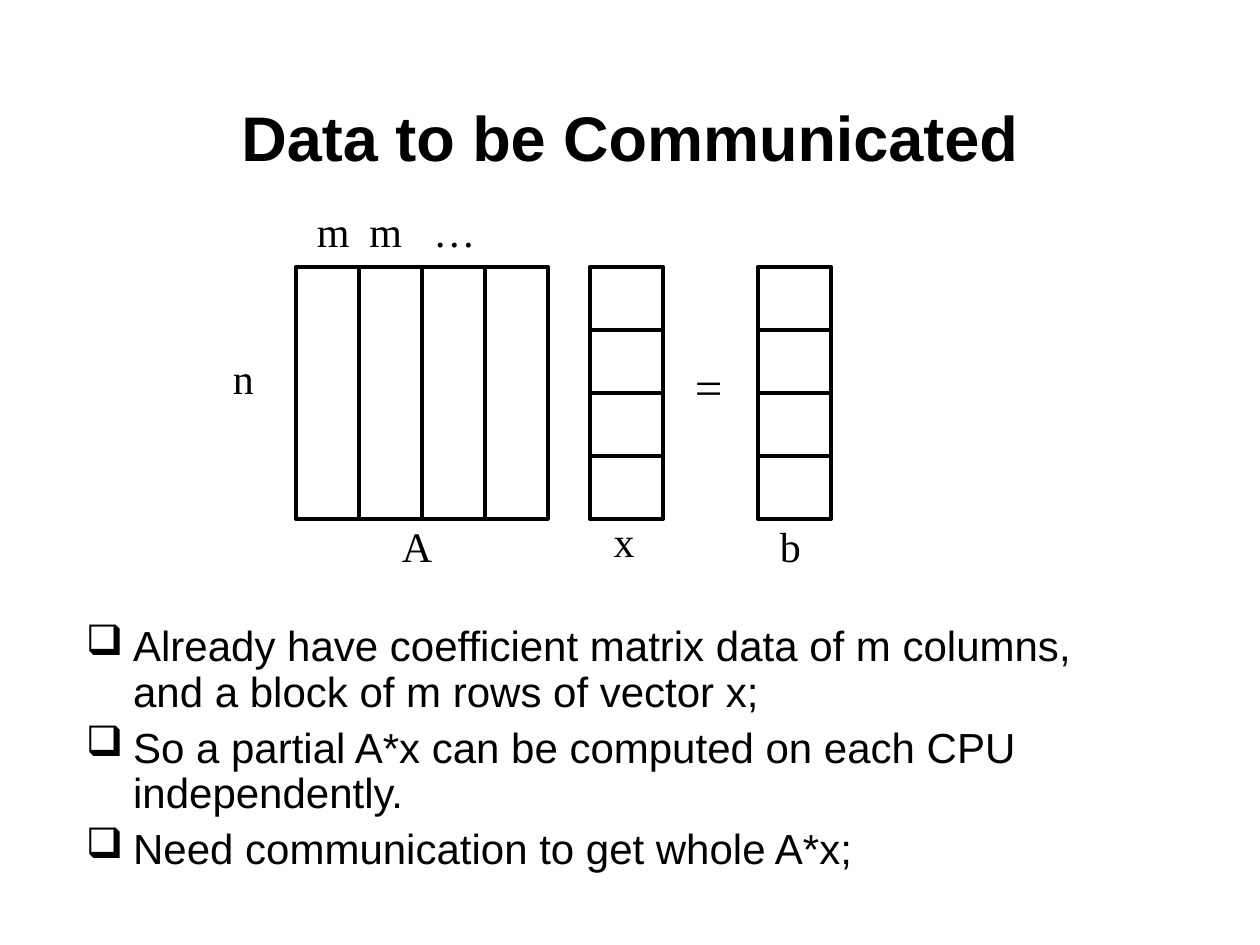
from dataclasses import dataclass

from lxml.etree import SubElement
from pptx import Presentation
from pptx.dml.color import RGBColor
from pptx.enum.shapes import MSO_SHAPE as Shape
from pptx.enum.text import MSO_ANCHOR as Anchor, MSO_AUTO_SIZE as AutoSize, PP_ALIGN as Align
from pptx.oxml.ns import qn
from pptx.util import Pt


@dataclass(frozen=True)
class Theme:
    ink: RGBColor = RGBColor(0, 0, 0)
    text_font: str = "Arial"
    math_font: str = "Times New Roman"
    title_size: float = 36
    body_size: float = 24
    label_size: float = 24
    operator_size: float = 28
    outline: float = 2.25


class SlideBuilder:
    def __init__(self, slide, theme):
        self.slide = slide
        self.theme = theme

    def text_frame(self, left, top, width, height, wrap=True):
        box = self.slide.shapes.add_textbox(Pt(left), Pt(top), Pt(width), Pt(height))
        box.text_frame.word_wrap = wrap
        return box.text_frame

    def style(self, paragraph, size, name, bold=False):
        font = paragraph.font
        font.size, font.name, font.bold = Pt(size), name, bold
        font.color.rgb = self.theme.ink

    def title(self, text, left, top, width, height):
        frame = self.text_frame(left, top, width, height)
        frame.vertical_anchor = Anchor.MIDDLE
        paragraph = frame.paragraphs[0]
        paragraph.text = text
        paragraph.alignment = Align.CENTER
        self.style(paragraph, self.theme.title_size, self.theme.text_font, bold=True)

    def bullets(self, items, left, top, width, height, indent=27):
        frame = self.text_frame(left, top, width, height)
        for index, item in enumerate(items):
            paragraph = frame.add_paragraph() if index else frame.paragraphs[0]
            paragraph.text = item
            paragraph.line_spacing = 0.9
            paragraph.space_before = Pt(6)
            properties = paragraph._p.get_or_add_pPr()
            properties.set("marL", str(Pt(indent)))
            properties.set("indent", str(-Pt(indent)))
            SubElement(properties, qn("a:buChar")).set("char", "❑")
            self.style(paragraph, self.theme.body_size, self.theme.text_font)

    def label(self, text, left, top, width, size=None):
        size = size or self.theme.label_size
        frame = self.text_frame(left, top, width, size * 1.2 + 7.2, wrap=False)
        frame.auto_size = AutoSize.SHAPE_TO_FIT_TEXT
        paragraph = frame.paragraphs[0]
        paragraph.text = text
        self.style(paragraph, size, self.theme.math_font)

    def blocks(self, left, top, width, height, count, step_x=0, step_y=0):
        """Draw a run of equal outlined rectangles, each one step from the last."""
        for index in range(count):
            block = self.slide.shapes.add_shape(
                Shape.RECTANGLE, Pt(left + index * step_x), Pt(top + index * step_y),
                Pt(width), Pt(height))
            block.shadow.inherit = False
            block.fill.background()
            block.line.color.rgb = self.theme.ink
            block.line.width = Pt(self.theme.outline)


def main():
    presentation = Presentation()
    presentation.slide_width, presentation.slide_height = Pt(720), Pt(540)
    theme = Theme()
    builder = SlideBuilder(presentation.slides.add_slide(presentation.slide_layouts[6]), theme)

    builder.title("Data to be Communicated", 54, 48, 612, 60)
    builder.bullets([
        "Already have coefficient matrix data of m columns, and a block of m rows of vector x;",
        "So a partial A*x can be computed on each CPU independently.",
        "Need communication to get whole A*x;",
    ], 42, 354, 612, 156)

    count, block, top = 4, 36, 152.5
    builder.blocks(169, top, block, count * block, count, step_x=block)
    for vector_left in (337, 433):
        builder.blocks(vector_left, top, 42, block, count, step_y=block)

    for text, left, label_top, width in [
        ("m", 174, 114, 33),
        ("m", 204, 114, 33),
        ("…", 240.5, 114, 38),
        ("n", 126, 198, 26),
        ("A", 222.5, 294, 32),
        ("x", 343.5, 291, 26),
        ("b", 438.5, 294, 26),
    ]:
        builder.label(text, left, label_top, width)
    builder.label("=", 390, 200, 30, theme.operator_size)

    presentation.save("out.pptx")


if __name__ == "__main__":
    main()
